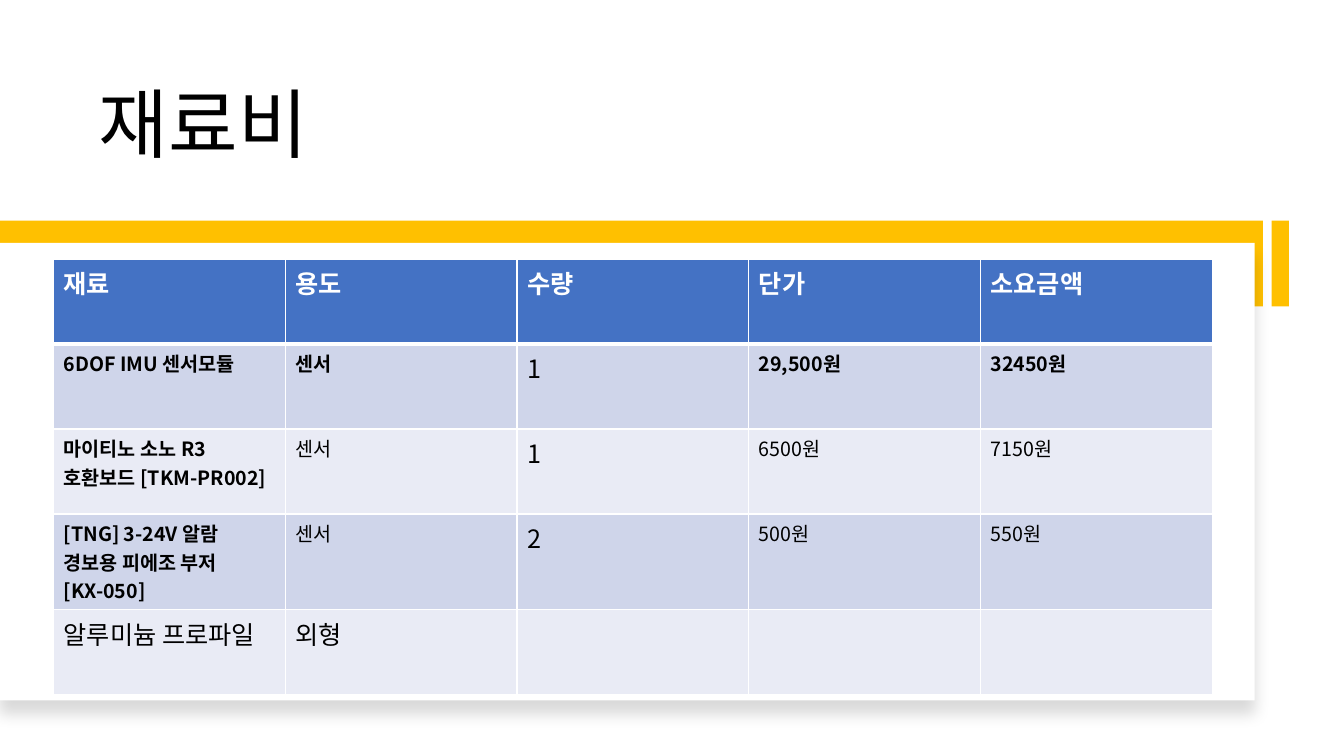
"""Build the materials cost slide."""
import lxml.etree
import pptx
import pptx.dml.color
import pptx.enum.shapes
import pptx.enum.text
import pptx.oxml.ns
import pptx.util

Cm = pptx.util.Cm
FONT = "Noto Sans CJK KR"
BLACK, WHITE, GOLD = "000000", "FFFFFF", "FFC000"
HEADER_FILL = "4472C4"
BAND_FILLS = ("CFD5EA", "E9EBF5")
HEADERS = ("재료", "용도", "수량", "단가", "소요금액")
PLAIN, BOLD, LARGE = (14, False), (14, True), (18, False)
MATERIALS = (
    (("6DOF IMU 센서모듈 ", BOLD), ("센서", BOLD), ("1", LARGE),
     ("29,500원", BOLD), ("32450원", BOLD)),
    (("마이티노 소노 R3 호환보드 [TKM-PR002]", BOLD), ("센서", PLAIN), ("1", LARGE),
     ("6500원", PLAIN), ("7150원", PLAIN)),
    (("[TNG] 3-24V 알람 경보용 피에조 부저 [KX-050]", BOLD), ("센서", PLAIN),
     ("2", LARGE), ("500원", PLAIN), ("550원", PLAIN)),
    (("알루미늄 프로파일", LARGE), ("외형", LARGE), ("", LARGE), ("", LARGE), ("", LARGE)),
)


def color(value):
    """Turn a hex string into a colour."""
    return pptx.dml.color.RGBColor.from_string(value)


def add_element(parent, tag, **attributes):
    """Append a child element with the given attributes."""
    child = lxml.etree.SubElement(parent, pptx.oxml.ns.qn(tag))
    for name, value in attributes.items():
        child.set(name, str(value))
    return child


def add_span(para, text, size, bold, hue):
    """Add one formatted run to a paragraph."""
    span = para.add_run()
    span.text = text
    span.font.size = pptx.util.Pt(size)
    span.font.bold = bold
    span.font.name = FONT
    span.font.color.rgb = color(hue)
    add_element(span.font._element, "a:ea", typeface=FONT)


def add_title(slide, text):
    """Place and fill the title placeholder."""
    title = slide.shapes.title
    title.left, title.top, title.width, title.height = Cm(2.24), Cm(1.07), Cm(25.65), Cm(3.3)
    frame = title.text_frame
    frame.word_wrap = True
    frame.auto_size = pptx.enum.text.MSO_AUTO_SIZE.NONE
    frame.vertical_anchor = pptx.enum.text.MSO_ANCHOR.BOTTOM
    para = frame.paragraphs[0]
    para.alignment = pptx.enum.text.PP_ALIGN.LEFT
    para.line_spacing = 0.9
    add_span(para, text, 54, False, BLACK)


def add_block(slide, left, top, width, height, fill):
    """Add a plain rectangle without line or shadow."""
    block = slide.shapes.add_shape(
        pptx.enum.shapes.MSO_SHAPE.RECTANGLE, Cm(left), Cm(top), Cm(width), Cm(height))
    block.shadow.inherit = False
    block.fill.solid()
    block.fill.fore_color.rgb = color(fill)
    block.line.fill.background()
    return block


def add_shadow(block):
    """Give a block a soft shadow below it."""
    effects = block._element.spPr.find(pptx.oxml.ns.qn("a:effectLst"))
    shadow = add_element(effects, "a:outerShdw", blurRad=pptx.util.Pt(11),
                         dist=pptx.util.Pt(10), dir=5400000, algn="t", rotWithShape=0)
    shade = add_element(shadow, "a:srgbClr", val=BLACK)
    add_element(shade, "a:alpha", val=15000)


def style_cell(cell, fill, bottom_width):
    """Set the white borders and the fill of a cell."""
    properties = cell._tc.get_or_add_tcPr()
    for side, width in (("L", 1), ("R", 1), ("T", 1), ("B", bottom_width)):
        line = add_element(properties, f"a:ln{side}", w=pptx.util.Pt(width))
        add_element(add_element(line, "a:solidFill"), "a:srgbClr", val=WHITE)
    cell.fill.solid()
    cell.fill.fore_color.rgb = color(fill)


def add_materials_table(slide):
    """Add the table of materials and costs."""
    rows = [[(header, (18, True)) for header in HEADERS], *MATERIALS]
    table = slide.shapes.add_table(len(rows), len(HEADERS), Cm(1.35), Cm(6.53),
                                   Cm(29.2), Cm(10.7)).table
    for column in table.columns:
        column.width = Cm(5.84)
    for index, row in enumerate(rows):
        table.rows[index].height = Cm(2.14)
        is_header = index == 0
        fill = HEADER_FILL if is_header else BAND_FILLS[(index - 1) % 2]
        hue = WHITE if is_header else BLACK
        for cell, (text, (size, bold)) in zip(table.rows[index].cells, row):
            style_cell(cell, fill, 3 if is_header else 1)
            if text:
                add_span(cell.text_frame.paragraphs[0], text, size, bold, hue)


def main():
    """Build and save the deck."""
    deck = pptx.Presentation()
    deck.slide_width, deck.slide_height = Cm(33.87), Cm(19.05)
    slide = deck.slides.add_slide(deck.slide_layouts[5])
    add_title(slide, "재료비")
    add_block(slide, 32.05, 5.56, 0.43, 2.16, GOLD)
    add_block(slide, 0, 5.56, 31.83, 2.16, GOLD)
    add_shadow(add_block(slide, 0, 6.12, 31.62, 11.53, WHITE))
    add_materials_table(slide)
    deck.save("out.pptx")


if __name__ == "__main__":
    main()
